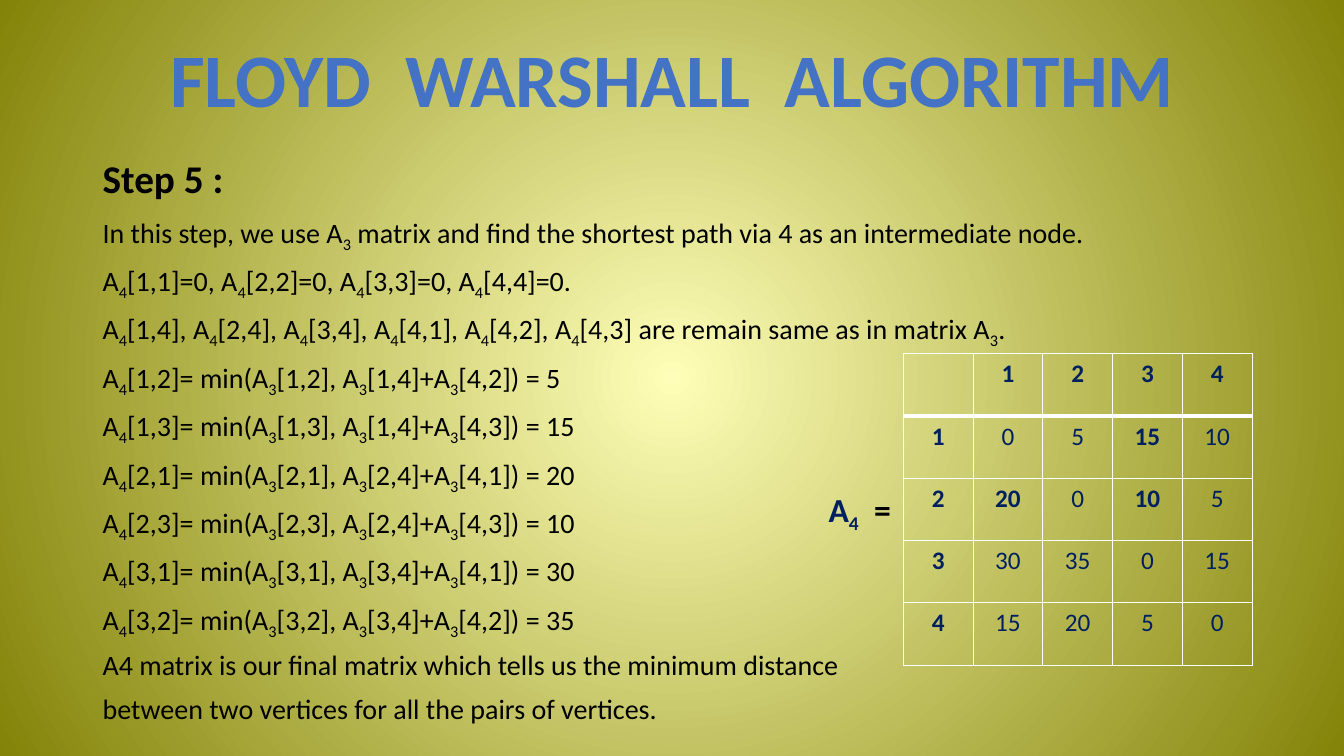
import dataclasses
import pptx
import pptx.util
import pptx.dml.color
import pptx.enum.text
import pptx.oxml
import pptx.oxml.ns

Inches = pptx.util.Inches
Pt = pptx.util.Pt
ANCHOR = pptx.enum.text.MSO_ANCHOR
ALIGN = pptx.enum.text.PP_ALIGN


@dataclasses.dataclass(frozen=True)
class Theme:
    font: str = "Calibri"
    glow: str = "FEFEB8"
    edge: str = "838309"
    title: str = "4472C4"
    ink: str = "000000"
    navy: str = "002060"
    grid: str = "FFFFFF"
    title_size: int = 54
    step_size: int = 28
    label_size: int = 24
    body_size: int = 20
    cell_size: int = 18


THEME = Theme()
DISTANCES = [[0, 5, 15, 10], [20, 0, 10, 5], [30, 35, 0, 15], [15, 20, 5, 0]]
CHANGED = {(1, 3), (2, 1), (2, 3)}
NODES = range(1, 5)
VIA = 4


def rgb(color):
    return pptx.dml.color.RGBColor.from_string(color)


def apply(obj, values):
    for name, value in values.items():
        setattr(obj, name, value)


def add_run(p, text, size, color, bold=False, subscript=False):
    r = p.add_run()
    r.text = text
    apply(r.font, {"name": THEME.font, "size": Pt(size), "bold": bold})
    r.font.color.rgb = rgb(color)
    if subscript:
        r.font._element.set("baseline", "-25000")


def write(p, text, size, color, bold=False):
    head, *indexed = text.split("_")
    add_run(p, head, size, color, bold)
    for part in indexed:
        add_run(p, part[0], size, color, bold, subscript=True)
        if part[1:]:
            add_run(p, part[1:], size, color, bold)


def add_text_frame(s, box, **values):
    tf = s.shapes.add_textbox(*map(Inches, box)).text_frame
    apply(tf, {"word_wrap": True, **values})
    return tf


def paint_background(s):
    fill = s.background.fill
    fill.gradient()
    for stop, color in zip(fill.gradient_stops, (THEME.glow, THEME.edge)):
        stop.color.rgb = rgb(color)
    grad = s._element.find(".//" + pptx.oxml.ns.qn("a:gradFill"))
    grad.remove(grad.find(pptx.oxml.ns.qn("a:lin")))
    grad.append(pptx.oxml.parse_xml(
        f'<a:path {pptx.oxml.ns.nsdecls("a")} path="circle">'
        '<a:fillToRect l="50000" t="50000" r="50000" b="50000"/></a:path>'))


def add_title(s, box):
    tf = add_text_frame(s, box, vertical_anchor=ANCHOR.MIDDLE)
    p = tf.paragraphs[0]
    apply(p, {"alignment": ALIGN.CENTER, "line_spacing": 0.9})
    write(p, "FLOYD  WARSHALL  ALGORITHM", THEME.title_size, THEME.title, True)


def step_lines():
    diagonal = ", ".join(f"A_4[{n},{n}]=0" for n in NODES)
    kept = [(n, VIA) for n in NODES if n != VIA]
    kept += [(VIA, n) for n in NODES if n != VIA]
    same = ", ".join(f"A_4[{i},{j}]" for i, j in kept)
    updates = [
        f"A_4[{i},{j}]= min(A_3[{i},{j}], A_3[{i},{VIA}]+A_3[{VIA},{j}])"
        f" = {DISTANCES[i - 1][j - 1]}"
        for i in NODES for j in NODES if i != j and VIA not in (i, j)]
    return [
        f"In this step, we use A_3 matrix and find the shortest path via {VIA}"
        " as an intermediate node.",
        f"{diagonal}.",
        f"{same} are remain same as in matrix A_3.",
        *updates,
        "A4 matrix is our final matrix which tells us the minimum distance",
        "between two vertices for all the pairs of vertices."]


def add_step(s, box):
    tf = add_text_frame(s, box)
    p = tf.paragraphs[0]
    layout = {"line_spacing": 0.9, "space_before": Pt(10)}
    apply(p, layout)
    write(p, "Step 5 :", THEME.step_size, THEME.ink, True)
    for line in step_lines():
        p = tf.add_paragraph()
        apply(p, layout)
        write(p, line, THEME.body_size, THEME.ink)


def add_borders(cell, widths):
    tcPr = cell._tc.get_or_add_tcPr()
    for side, width in zip("LRTB", widths):
        tcPr.append(pptx.oxml.parse_xml(
            f'<a:ln{side} {pptx.oxml.ns.nsdecls("a")} w="{Pt(width)}">'
            f'<a:solidFill><a:srgbClr val="{THEME.grid}"/></a:solidFill>'
            f'</a:ln{side}>'))


def add_matrix(s, box):
    left, top, width, height = box
    label = add_text_frame(s, (left - 0.84, top + 1.29, 0.83, 0.5),
                           word_wrap=False)
    p = label.paragraphs[0]
    write(p, "A_4", THEME.label_size, THEME.navy, True)
    write(p, "  =", THEME.label_size, THEME.ink, True)

    rows = [["", *NODES]]
    rows += [[n, *values] for n, values in zip(NODES, DISTANCES)]
    count = len(rows)
    table = s.shapes.add_table(count, count, *map(Inches, box)).table
    apply(table, {"first_row": False, "horz_banding": False})
    for col, row in zip(table.columns, table.rows):
        col.width = Inches(width / count)
        row.height = Inches(height / count)
    for i, values in enumerate(rows):
        for j, value in enumerate(values):
            cell = table.cell(i, j)
            add_borders(cell, (1, 1, 3 if i == 1 else 1, 3 if i == 0 else 1))
            cell.fill.background()
            p = cell.text_frame.paragraphs[0]
            p.alignment = ALIGN.CENTER
            bold = 0 in (i, j) or (i, j) in CHANGED
            write(p, str(value), THEME.cell_size, THEME.navy, bold)


def build_step_slide(prs):
    s = prs.slides.add_slide(prs.slide_layouts[6])
    paint_background(s)
    add_title(s, (0.92, 0.4, 11.5, 0.84))
    add_step(s, (0.92, 1.53, 11.5, 5.79))
    add_matrix(s, (8.96, 3.51, 3.46, 3.09))


prs = pptx.Presentation()
apply(prs, {"slide_width": Inches(13.33), "slide_height": Inches(7.5)})
build_step_slide(prs)
prs.save("out.pptx")
